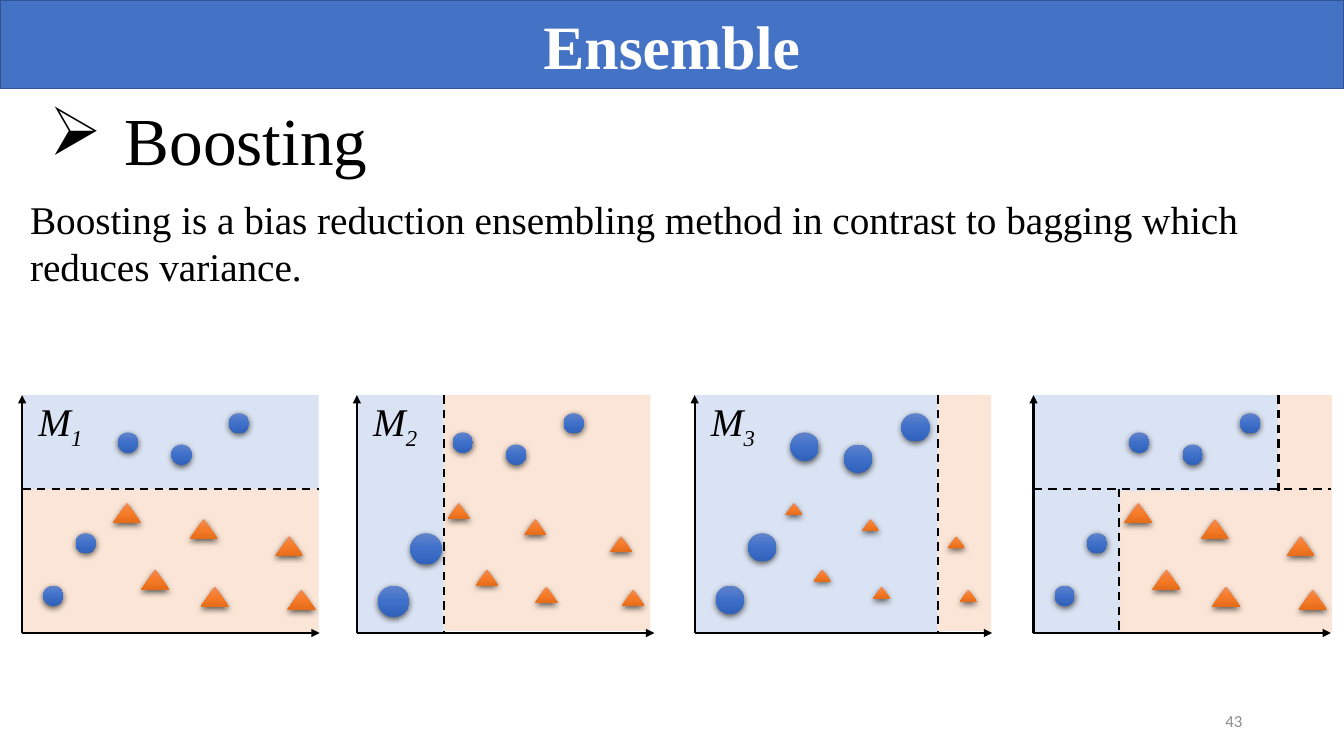
from copy import deepcopy

from pptx import Presentation
from pptx.dml.color import RGBColor
from pptx.enum.dml import MSO_LINE
from pptx.enum.shapes import MSO_CONNECTOR, MSO_SHAPE
from pptx.enum.text import MSO_ANCHOR, PP_ALIGN
from pptx.oxml import parse_xml
from pptx.oxml.ns import nsdecls, qn
from pptx.util import Inches, Pt

SLIDE_W, SLIDE_H = 13.33, 7.5
SERIF, SANS = "Times New Roman", "Calibri"
BLACK, WHITE, GREY = "000000", "FFFFFF", "8C8C8C"
BANNER, BANNER_EDGE = "4472C4", "325491"
BLUE_AREA, ORANGE_AREA = "DAE3F3", "FBE5D6"
BLUE_SHADES = ("6183CB", "3E70CA", "3062BB")
ORANGE_SHADES = ("F18C57", "F67B28", "E56C19")

TITLE = "Ensemble"
HEADING = "Boosting"
DEFINITION = ("Boosting is a bias reduction ensembling method in contrast "
              "to bagging which reduces variance.")
PAGE = "43"

# Everything inside a panel is measured in inches from its top left corner.
PANEL_TOP, PANEL_W, PANEL_H, AXIS_W = 3.92, 2.94, 2.36, 2.95
SPLIT = 0.93
CIRCLES = [(0.21, 1.89), (0.53, 1.37), (0.95, 0.37), (1.48, 0.49), (2.05, 0.18)]
TRIANGLES = [(0.9, 1.07), (2.51, 1.4), (2.63, 1.93),
             (1.66, 1.23), (1.18, 1.73), (1.77, 1.9)]
SMALL = 0.2

# areas: colour, left, top, right, bottom; cuts: from x, y to x, y
PANELS = [
    dict(left=0.22, index="1", circles=[SMALL] * 5, triangle=(0.28, 0.2),
         areas=[(ORANGE_AREA, 0, SPLIT, PANEL_W, PANEL_H),
                (BLUE_AREA, 0, 0, PANEL_W, SPLIT)],
         cuts=[(0, SPLIT, PANEL_W, SPLIT)]),
    dict(left=3.54, index="2", circles=[0.31] * 2 + [SMALL] * 3, triangle=(0.22, 0.16),
         areas=[(ORANGE_AREA, 0.86, 0, 2.91, PANEL_H - 0.02),
                (BLUE_AREA, 0, 0, 0.86, PANEL_H)],
         cuts=[(0.86, 0, 0.86, PANEL_H)]),
    dict(left=6.89, index="3", circles=[0.28] * 5, triangle=(0.17, 0.12),
         areas=[(ORANGE_AREA, 2.41, 0, PANEL_W, PANEL_H - 0.02),
                (BLUE_AREA, 0, 0, 2.41, PANEL_H)],
         cuts=[(2.41, 0, 2.41, PANEL_H)]),
    dict(left=10.25, index=None, circles=[SMALL] * 5, triangle=(0.28, 0.2),
         areas=[(ORANGE_AREA, 2.43, 0, 2.96, 0.95),
                (ORANGE_AREA, 0.86, 0.95, 2.96, PANEL_H - 0.01),
                (BLUE_AREA, 0, 0, 2.43, 0.95),
                (BLUE_AREA, 0, 0.95, 0.86, PANEL_H - 0.01)],
         cuts=[(0.85, SPLIT, 0.85, PANEL_H - 0.02), (0, SPLIT, AXIS_W, SPLIT),
               (2.43, 0, 2.43, 0.95)]),
]


def rgb(colour):
    return RGBColor.from_string(colour)


def add_block(shapes, preset, left, top, width, height, colour=None):
    block = shapes.add_shape(preset, Inches(left), Inches(top),
                             Inches(width), Inches(height))
    block.shadow.inherit = False
    block.line.fill.background()
    if colour:
        block.fill.solid()
        block.fill.fore_color.rgb = rgb(colour)
    return block


def add_marker(shapes, preset, left, top, width, height, shades):
    """Add a data point with a downward gradient and a soft shadow."""
    marker = add_block(shapes, preset, left, top, width, height)
    marker.fill.gradient()
    marker.fill.gradient_angle = 270
    properties = marker.element.spPr
    stop_list = properties.find(".//" + qn("a:gsLst"))
    stop_list.insert(1, deepcopy(stop_list[0]))
    for stop, shade, position in zip(marker.fill.gradient_stops, shades, (0, 0.5, 1)):
        stop.color.rgb = rgb(shade)
        stop.position = position
    properties.find(qn("a:effectLst")).append(parse_xml(
        f'<a:outerShdw {nsdecls("a")} blurRad="{Pt(4.5)}" dist="{Pt(1.5)}" '
        'dir="5400000" algn="ctr" rotWithShape="0"><a:srgbClr val="000000">'
        '<a:alpha val="63000"/></a:srgbClr></a:outerShdw>'))


def add_line(shapes, x1, y1, x2, y2, arrow=False):
    """Add an axis with an arrowhead, or a dashed cut."""
    line = shapes.add_connector(MSO_CONNECTOR.STRAIGHT, Inches(x1), Inches(y1),
                                Inches(x2), Inches(y2))
    line.line.color.rgb = rgb(BLACK)
    line.line.width = Pt(1.5)
    properties = line.element.spPr
    if arrow:
        properties.find(qn("a:ln")).append(
            parse_xml(f'<a:tailEnd {nsdecls("a")} type="triangle"/>'))
    else:
        line.line.dash_style = MSO_LINE.DASH
    properties.append(parse_xml(f'<a:effectLst {nsdecls("a")}/>'))


def write(shape, text, size, colour=BLACK, font=SERIF, align=PP_ALIGN.LEFT,
          anchor=MSO_ANCHOR.TOP):
    """Set the text of a shape and return its paragraph."""
    frame = shape.text_frame
    frame.text = text
    frame.word_wrap = True
    frame.vertical_anchor = anchor
    paragraph = frame.paragraphs[0]
    paragraph.alignment = align
    style_run(paragraph.runs[0], size, colour, font)
    return paragraph


def style_run(run, size, colour, font):
    run.font.size = Pt(size)
    run.font.name = font
    run.font.color.rgb = rgb(colour)


def add_box(shapes, left, top, width, height):
    return shapes.add_textbox(Inches(left), Inches(top), Inches(width), Inches(height))


def add_model_name(shapes, left, index):
    name = write(add_box(shapes, left, PANEL_TOP - 0.03, 0.76, 0.57), "M", 28,
                 align=PP_ALIGN.CENTER)
    subscript = name.add_run()
    subscript.text = index
    style_run(subscript, 28, BLACK, SERIF)
    subscript._r.get_or_add_rPr().set("baseline", "-25000")
    for run in name.runs:
        run.font.italic = True


def add_panel(slide, panel):
    shapes = slide.shapes.add_group_shape().shapes
    left, bottom = panel["left"], PANEL_TOP + PANEL_H
    for colour, x1, y1, x2, y2 in panel["areas"]:
        add_block(shapes, MSO_SHAPE.RECTANGLE, left + x1, PANEL_TOP + y1,
                  x2 - x1, y2 - y1, colour)
    for x, y in [(left + AXIS_W, bottom), (left, PANEL_TOP)]:
        add_line(shapes, left, bottom, x, y, arrow=True)
    for (x, y), size in zip(CIRCLES, panel["circles"]):
        add_marker(shapes, MSO_SHAPE.OVAL, left + x, PANEL_TOP + y, size, size,
                   BLUE_SHADES)
    for x, y in TRIANGLES:
        add_marker(shapes, MSO_SHAPE.ISOSCELES_TRIANGLE, left + x, PANEL_TOP + y,
                   *panel["triangle"], ORANGE_SHADES)
    for x1, y1, x2, y2 in panel["cuts"]:
        add_line(shapes, left + x1, PANEL_TOP + y1, left + x2, PANEL_TOP + y2)
    if panel["index"]:
        add_model_name(shapes, left, panel["index"])


def main():
    deck = Presentation()
    deck.slide_width, deck.slide_height = Inches(SLIDE_W), Inches(SLIDE_H)
    slide = deck.slides.add_slide(deck.slide_layouts[6])
    shapes = slide.shapes

    banner = add_block(shapes, MSO_SHAPE.RECTANGLE, 0, 0, SLIDE_W, 0.88, BANNER)
    banner.line.color.rgb = rgb(BANNER_EDGE)
    banner.line.width = Pt(1)
    title = write(banner, TITLE, 44, WHITE, align=PP_ALIGN.CENTER,
                  anchor=MSO_ANCHOR.MIDDLE)
    title.runs[0].font.bold = True

    heading = write(add_box(shapes, 0.39, 0.93, 4.32, 0.91), HEADING, 48)
    bullet = heading._p.get_or_add_pPr()
    bullet.set("marL", str(Inches(0.75)))
    bullet.set("indent", str(-Inches(0.75)))
    bullet.append(parse_xml(f'<a:buChar {nsdecls("a")} char="➢"/>'))

    write(add_box(shapes, 9.42, 6.95, 3, 0.4), PAGE, 12, GREY, SANS,
          PP_ALIGN.RIGHT, MSO_ANCHOR.MIDDLE)
    write(add_box(shapes, 0.2, 1.89, 12.69, 1.04), DEFINITION, 28)

    for panel in PANELS:
        add_panel(slide, panel)
    deck.save("out.pptx")


if __name__ == "__main__":
    main()
